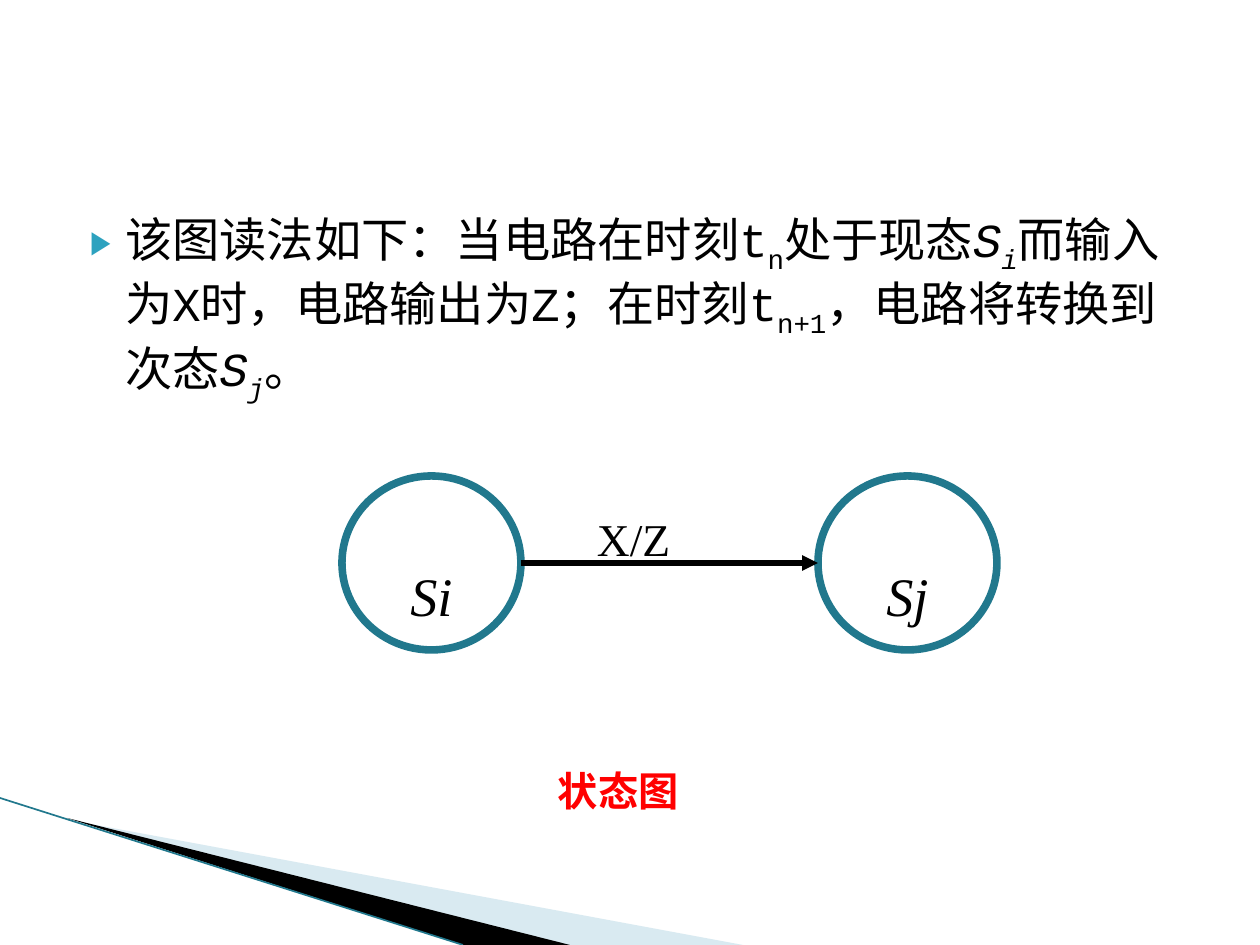
import dataclasses

import lxml.etree
import pptx
import pptx.dml.color
import pptx.enum.shapes
import pptx.enum.text
import pptx.oxml.ns
import pptx.util

PX = 914400 // 126
SHAPE = pptx.enum.shapes.MSO_SHAPE
ANCHOR = pptx.enum.text.MSO_ANCHOR
ALIGN = pptx.enum.text.PP_ALIGN


@dataclasses.dataclass(frozen=True)
class Theme:
    """Colours, fonts and type sizes of the slide."""
    ink: str = "000000"
    paper: str = "FFFFFF"
    teal: str = "21788D"
    bullet: str = "2DA2BF"
    pale: str = "A0CBDC"
    red: str = "FF0000"
    mono: str = "Courier New"
    serif: str = "Times New Roman"
    body_size: int = 27
    state_size: int = 31
    edge_size: int = 26
    caption_size: int = 23


THEME = Theme()


def color(value):
    """Return a hex string as a colour."""
    return pptx.dml.color.RGBColor.from_string(value)


def add_element(parent, tag, **attributes):
    """Append a DrawingML element and return it."""
    name = pptx.oxml.ns.qn(tag)
    return lxml.etree.SubElement(parent, name, attributes)


def add_text(para, text, size, font, ink=THEME.ink, bold=False, italic=False, sub=False):
    """Add one formatted span to a paragraph."""
    span = para.add_run()
    span.text = text
    span.font.size = pptx.util.Pt(size)
    span.font.name = font
    span.font.bold = bold
    span.font.italic = italic
    span.font.color.rgb = color(ink)
    if sub:
        span.font._element.set("baseline", "-25000")


def set_frame(shape, anchor, top=0, side=0, bottom=0):
    """Set the anchor and insets of a shape and return its first paragraph."""
    frame = shape.text_frame
    frame.word_wrap = True
    frame.auto_size = pptx.enum.text.MSO_AUTO_SIZE.NONE
    frame.vertical_anchor = anchor
    frame.margin_top, frame.margin_bottom = top * PX, bottom * PX
    frame.margin_left = frame.margin_right = side * PX
    return frame.paragraphs[0]


def add_line(shapes, start, end, ink, width):
    """Add a straight line without shadow."""
    line = shapes.add_connector(
        pptx.enum.shapes.MSO_CONNECTOR.STRAIGHT, *(value * PX for value in start + end))
    line.line.color.rgb = color(ink)
    line.line.width = pptx.util.Pt(width)
    add_element(line._element.spPr, "a:effectLst")
    return line


def add_wedge(shapes, points, fill, alpha=None):
    """Add a filled outline through the points."""
    builder = shapes.build_freeform(*points[0], scale=PX)
    builder.add_line_segments(points[1:], close=True)
    wedge = builder.convert_to_shape()
    wedge.shadow.inherit = False
    wedge.line.fill.background()
    wedge.fill.solid()
    wedge.fill.fore_color.rgb = color(fill)
    if alpha:
        paint = wedge._element.spPr.find(".//" + pptx.oxml.ns.qn("a:srgbClr"))
        add_element(paint, "a:alpha", val=str(alpha * 1000))


def add_corner(page, box):
    """Draw the wedges in the bottom left corner."""
    left, top, width, height = box
    bottom = top + height
    add_wedge(page.shapes, [(left + 69, top + 22), (left + width, bottom),
                            (left + 568, bottom)], THEME.pale, 40)
    add_wedge(page.shapes, [(left + 67, top + 20), (left + 570, bottom),
                            (left + 463, bottom)], THEME.ink)
    add_line(page.shapes, (left, top), (left + 463, bottom), THEME.teal, 0.95)


def add_body(page, box):
    """Fill the body placeholder with the bulleted explanation."""
    body = page.placeholders[1]
    body.left, body.top, body.width, body.height = (value * PX for value in box)
    para = set_frame(body, ANCHOR.TOP, top=6, side=12)
    para.space_before = pptx.util.Pt(4)
    settings = para._element.get_or_add_pPr()
    settings.set("marL", str(50 * PX))
    settings.set("indent", str(-35 * PX))
    mark = add_element(settings, "a:buClr")
    add_element(mark, "a:srgbClr", val=THEME.bullet)
    add_element(settings, "a:buSzPct", val="68000")
    add_element(settings, "a:buChar", char="▶")
    spans = [
        ("该图读法如下：当电路在时刻t", {}), ("n", {"sub": True}),
        ("处于现态", {}), ("S", {"italic": True}), ("i", {"italic": True, "sub": True}),
        ("而输入为X时，电路输出为Z；在时刻t", {}), ("n+1", {"sub": True}),
        ("，电路将转换到次态", {}), ("S", {"italic": True}),
        ("j", {"italic": True, "sub": True}), ("。", {}),
    ]
    for text, style in spans:
        add_text(para, text, THEME.body_size, THEME.mono, **style)


def add_state(shapes, box, name):
    """Draw one state circle with its name."""
    state = shapes.add_shape(SHAPE.FLOWCHART_CONNECTOR, *(value * PX for value in box))
    state.shadow.inherit = False
    state.fill.solid()
    state.fill.fore_color.rgb = color(THEME.paper)
    state.line.color.rgb = color(THEME.teal)
    state.line.width = pptx.util.Pt(4.33)
    para = set_frame(state, ANCHOR.BOTTOM, bottom=-3)
    para.alignment = ALIGN.CENTER
    add_text(para, name, THEME.state_size, THEME.serif, italic=True)


def add_label(shapes, box, text, top, **style):
    """Add a text box whose line starts at the given top inset."""
    label = shapes.add_textbox(*(value * PX for value in box))
    add_text(set_frame(label, ANCHOR.TOP, top=top, side=13), text, font=THEME.serif, **style)


def add_diagram(page, box):
    """Draw two states joined by a labelled arrow."""
    left, top, width, height = box
    shapes = page.shapes.add_group_shape().shapes
    size = 179
    middle = top + height // 2
    right = left + width - size
    for start, name in ((left, "Si"), (right, "Sj")):
        add_state(shapes, (start, top, size, height), name)
    arrow = add_line(shapes, (left + size, middle), (right, middle), THEME.ink, 3)
    add_element(arrow.line._get_or_add_ln(), "a:tailEnd", type="triangle")
    add_label(shapes, (left + 242, top - 20, 159, 106), "X/Z", 55, size=THEME.edge_size)


def main():
    """Build and save the deck."""
    deck = pptx.Presentation()
    deck.slide_width, deck.slide_height = 1260 * PX, 945 * PX
    page = deck.slides.add_slide(deck.slide_layouts[1])
    title = page.shapes.title._element
    title.getparent().remove(title)
    add_corner(page, (0, 798, 743, 147))
    add_label(page.shapes, (545, 713, 238, 97), "状态图", 53,
              size=THEME.caption_size, ink=THEME.red, bold=True)
    add_body(page, (63, 204, 1134, 397))
    add_diagram(page, (342, 476, 655, 174))
    deck.save("out.pptx")


if __name__ == "__main__":
    main()
